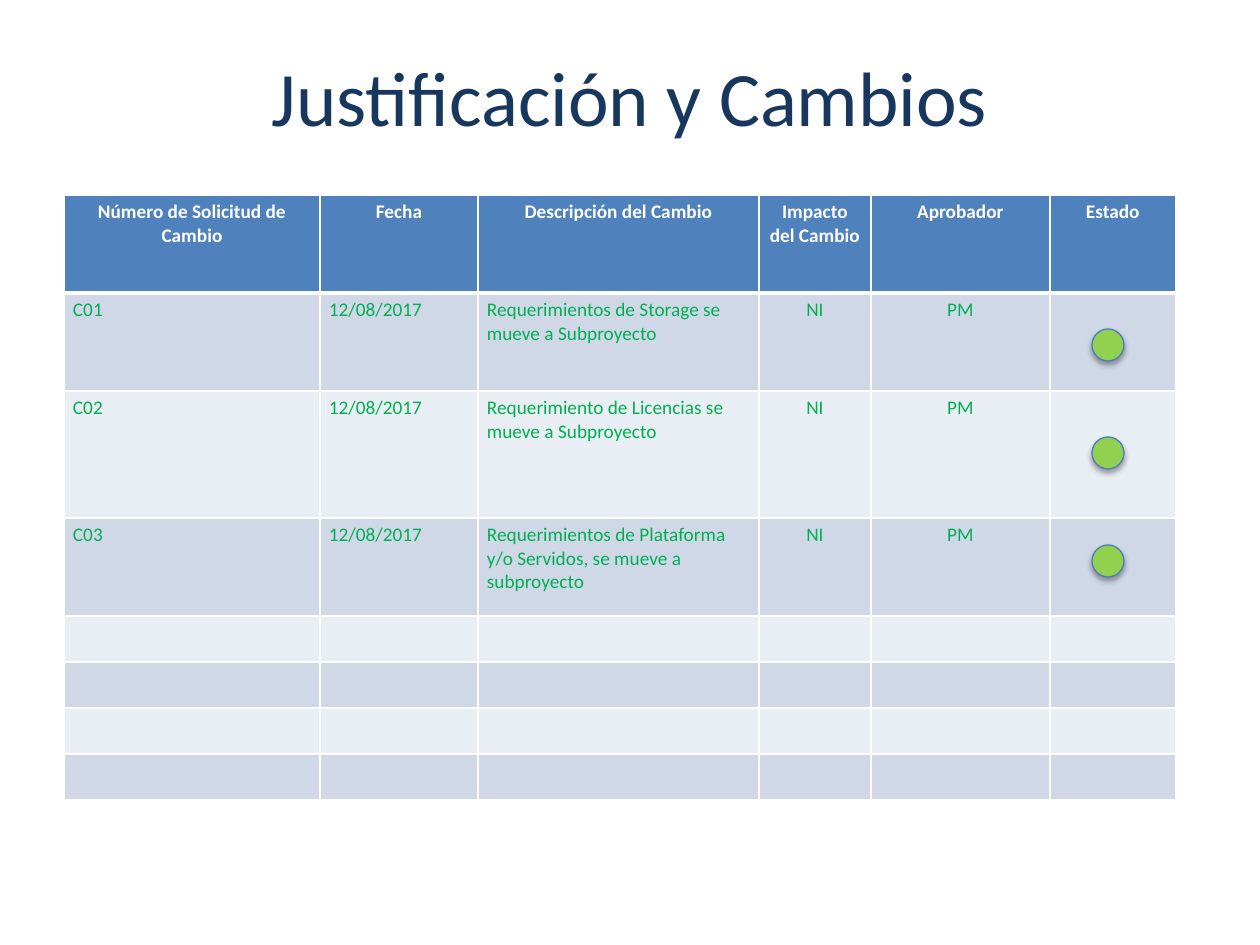
from lxml.etree import SubElement
from pptx import Presentation
from pptx.dml.color import RGBColor
from pptx.enum.shapes import MSO_SHAPE as Shape
from pptx.enum.text import MSO_ANCHOR as Anchor, PP_ALIGN as Align
from pptx.oxml.ns import qn
from pptx.util import Emu, Pt

PX = 914400 // 126
COLORS = {
    "title": "17375E", "header": "4F81BD", "odd": "D0D8E8", "even": "E9EDF4",
    "white": "FFFFFF", "entry": "00B050", "status": "92D050",
    "outline": "4B7EBC", "shadow": "000000",
}
HEADERS = ["Número de Solicitud de Cambio", "Fecha", "Descripción del Cambio",
           "Impacto del Cambio", "Aprobador", "Estado"]
CHANGES = [
    ["C01", "12/08/2017", "Requerimientos de Storage se mueve a Subproyecto", "NI", "PM"],
    ["C02", "12/08/2017", "Requerimiento de Licencias se mueve a Subproyecto", "NI", "PM"],
    ["C03", "12/08/2017",
     "Requerimientos de Plataforma y/o Servidos, se mueve a subproyecto", "NI", "PM"],
]
COLUMN_WIDTHS = [256, 158, 281, 112, 179, 126]
ROW_HEIGHTS = [98, 98, 127, 98] + [46] * 4
CENTERED_COLUMNS = (3, 4)
HEADER_FONT = {"name": "Calibri", "size": Pt(11), "bold": True}
ENTRY_FONT = {**HEADER_FONT, "bold": False}


def px(*lengths):
    return [Emu(length * PX) for length in lengths]


def color(name):
    return RGBColor.from_string(COLORS[name])


def format_font(font, values, color_name):
    for name, value in values.items():
        setattr(font, name, value)
    font.color.rgb = color(color_name)


def add_title(page, box):
    title = page.shapes.title
    title.left, title.top, title.width, title.height = px(*box)
    frame = title.text_frame
    frame.text = "Justificación y Cambios"
    frame.vertical_anchor = Anchor.TOP
    frame.margin_top = px(11)[0]
    para = frame.paragraphs[0]
    para.alignment = Align.CENTER
    format_font(para.runs[0].font, {"name": "Calibri", "size": Pt(44)}, "title")


def set_borders(cell, is_header):
    """Draw white cell edges, with a heavier one below the header."""
    properties = cell._tc.get_or_add_tcPr()
    for position, side in enumerate(("lnL", "lnR", "lnT", "lnB")):
        width = Pt(3 if is_header and side == "lnB" else 1)
        line = properties.makeelement(qn(f"a:{side}"), {"w": str(width)})
        fill = SubElement(line, qn("a:solidFill"))
        SubElement(fill, qn("a:srgbClr"), val=COLORS["white"])
        properties.insert(position, line)


def fill_cell(cell, text, row, column):
    is_header = row == 0
    cell.fill.solid()
    cell.fill.fore_color.rgb = color("header" if is_header else "odd" if row % 2 else "even")
    cell.margin_left, cell.margin_right, cell.margin_top, cell.margin_bottom = px(9, 9, 5, 5)
    set_borders(cell, is_header)
    para = cell.text_frame.paragraphs[0]
    if not text:
        para._p.get_or_add_endParaRPr().set("sz", "1100")
        return
    para.alignment = Align.CENTER if is_header or column in CENTERED_COLUMNS else Align.LEFT
    span = para.add_run()
    span.text = text
    format_font(span.font, HEADER_FONT if is_header else ENTRY_FONT,
                "white" if is_header else "entry")


def add_change_table(page, left, top):
    rows = [HEADERS] + CHANGES
    table = page.shapes.add_table(
        len(ROW_HEIGHTS), len(COLUMN_WIDTHS),
        *px(left, top, sum(COLUMN_WIDTHS), sum(ROW_HEIGHTS))).table
    for column, width in zip(table.columns, px(*COLUMN_WIDTHS)):
        column.width = width
    for row, height in zip(table.rows, px(*ROW_HEIGHTS)):
        row.height = height
    for row in range(len(ROW_HEIGHTS)):
        texts = rows[row] if row < len(rows) else []
        for column in range(len(COLUMN_WIDTHS)):
            text = texts[column] if column < len(texts) else ""
            fill_cell(table.cell(row, column), text, row, column)


def add_shadow(shape):
    shape.shadow.inherit = False
    effects = shape._element.spPr.find(qn("a:effectLst"))
    shadow = SubElement(effects, qn("a:outerShdw"), blurRad=str(Pt(3.1)),
                        dist=str(Pt(1.8)), dir="5400000", rotWithShape="0")
    tint = SubElement(shadow, qn("a:srgbClr"), val=COLORS["shadow"])
    SubElement(tint, qn("a:alpha"), val="35000")


def add_status_lights(page, left, top, size, step):
    for index in range(len(CHANGES)):
        light = page.shapes.add_shape(
            Shape.OVAL, *px(left, top + index * step, size, size))
        light.fill.solid()
        light.fill.fore_color.rgb = color("status")
        light.line.color.rgb = color("outline")
        light.line.width = Pt(0.75)
        add_shadow(light)


def main():
    deck = Presentation()
    deck.slide_width, deck.slide_height = px(1260, 945)
    page = deck.slides.add_slide(deck.slide_layouts[5])
    add_title(page, (63, 38, 1134, 157))
    add_change_table(page, 64, 195)
    add_status_lights(page, 1092, 329, 32, 108)
    deck.save("out.pptx")


if __name__ == "__main__":
    main()
